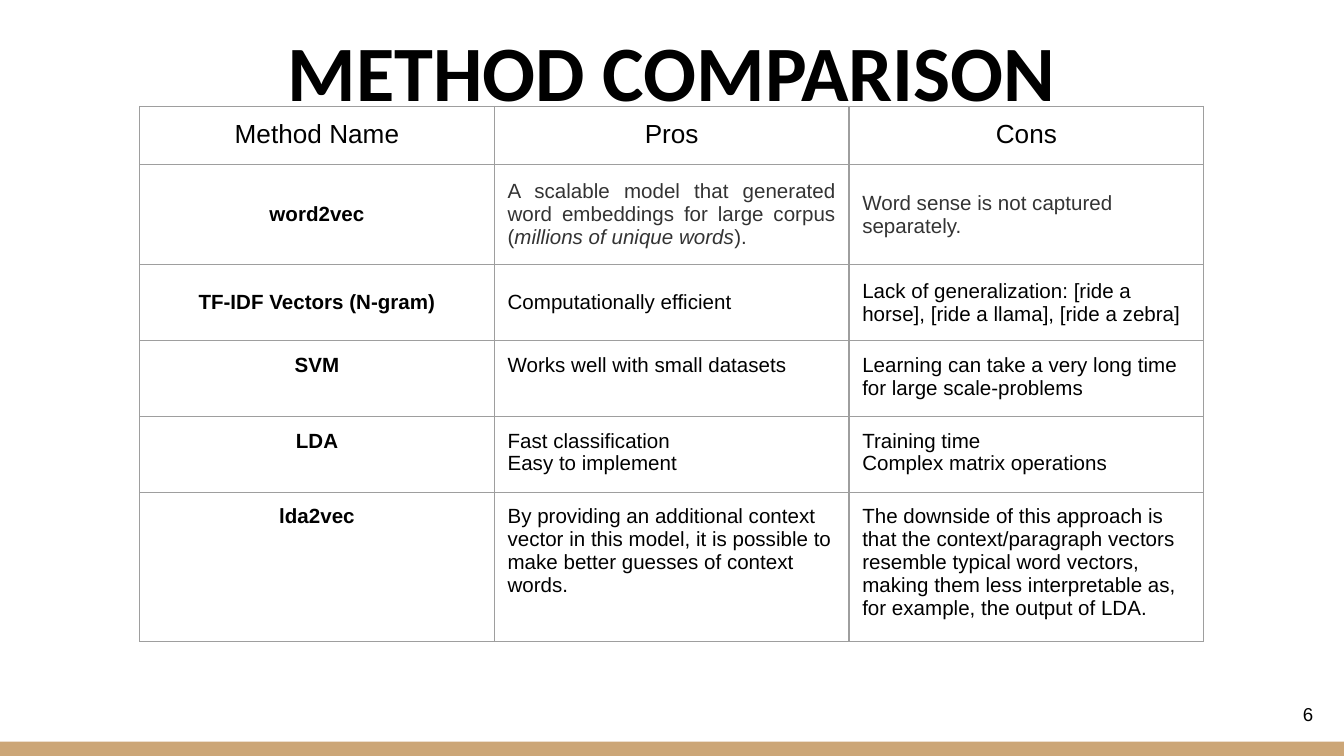
from dataclasses import dataclass

from lxml import etree
from pptx import Presentation
from pptx.dml.color import RGBColor
from pptx.enum.shapes import MSO_SHAPE
from pptx.enum.text import MSO_ANCHOR, PP_ALIGN
from pptx.oxml.ns import qn
from pptx.util import Cm, Pt

LEFT, CENTER, RIGHT, JUSTIFY = (
    PP_ALIGN.LEFT, PP_ALIGN.CENTER, PP_ALIGN.RIGHT, PP_ALIGN.JUSTIFY)
TOP, MIDDLE, BOTTOM = MSO_ANCHOR.TOP, MSO_ANCHOR.MIDDLE, MSO_ANCHOR.BOTTOM
RECT = MSO_SHAPE.RECTANGLE


@dataclass(frozen=True)
class Theme:
    ink: str = "000000"
    soft: str = "333333"
    rule: str = "9E9E9E"
    band: str = "CCA677"
    head: str = "Calibri"
    body: str = "Arial"
    title: int = 42
    label: int = 14
    text: int = 11
    page: int = 10
    line: float = 0.75


THEME = Theme()
WIDE, HIGH = 25.4, 14.29
PAD = Cm(0.25)

HEADS = ["Method Name", "Pros", "Cons"]
# A line break parts paragraphs; asterisks enclose italics
ROWS = [
    ["word2vec",
     "A scalable model that generated word embeddings for large corpus "
     "(*millions of unique words*).",
     "Word sense is not captured separately."],
    ["TF-IDF Vectors (N-gram)",
     "Computationally efficient",
     "Lack of generalization: [ride a horse], [ride a llama], [ride a zebra]"],
    ["SVM",
     "Works well with small datasets",
     "Learning can take a very long time for large scale-problems"],
    ["LDA",
     "Fast classification\nEasy to implement",
     "Training time\nComplex matrix operations"],
    ["lda2vec",
     "By providing an additional context vector in this model, it is possible "
     "to make better guesses of context words.",
     "The downside of this approach is that the context/paragraph vectors "
     "resemble typical word vectors, making them less interpretable as, "
     "for example, the output of LDA."],
]


def apply(item, form):
    for key, value in form.items():
        setattr(item, key, value)


def write(frame, text, size, align, face=THEME.body, ink=THEME.ink, bold=False):
    frame.word_wrap = True
    for i, line in enumerate(text.split("\n")):
        para = frame.add_paragraph() if i else frame.paragraphs[0]
        para.alignment = align
        for j, part in enumerate(line.split("*")):
            run = para.add_run()
            run.text = part
            apply(run.font, {"name": face, "size": Pt(size),
                             "bold": bold, "italic": j % 2 == 1})
            run.font.color.rgb = RGBColor.from_string(ink)


def add_text(slide, box, text, anchor, **form):
    frame = slide.shapes.add_textbox(*map(Cm, box)).text_frame
    apply(frame, {"margin_left": PAD, "margin_right": PAD, "margin_top": PAD,
                  "margin_bottom": PAD, "vertical_anchor": anchor})
    write(frame, text, **form)


def add_band(slide, box):
    band = slide.shapes.add_shape(RECT, *map(Cm, box))
    band.shadow.inherit = False
    band.fill.solid()
    band.fill.fore_color.rgb = RGBColor.from_string(THEME.band)
    band.line.fill.background()


def frame_cell(cell):
    props = cell._tc.get_or_add_tcPr()
    for side in ("a:lnL", "a:lnR", "a:lnT", "a:lnB"):
        line = etree.SubElement(props, qn(side), w=str(Pt(THEME.line)))
        fill = etree.SubElement(line, qn("a:solidFill"))
        etree.SubElement(fill, qn("a:srgbClr"), val=THEME.rule)
    cell.fill.background()


def add_grid(slide, box):
    data = [HEADS] + ROWS
    grid = slide.shapes.add_table(len(data), len(HEADS), *map(Cm, box)).table
    apply(grid, {"first_row": False, "horz_banding": False})
    for r, row in enumerate(data):
        for c, text in enumerate(row):
            cell = grid.cell(r, c)
            frame_cell(cell)
            apply(cell, {"margin_left": PAD, "margin_right": PAD,
                         "margin_top": PAD, "margin_bottom": PAD,
                         "vertical_anchor": MIDDLE if r in (1, 2) else TOP})
            align = CENTER if r == 0 or c == 0 else LEFT
            if (r, c) == (1, 1):
                align = JUSTIFY
            write(cell.text_frame, text,
                  size=THEME.text if r else THEME.label, align=align,
                  ink=THEME.soft if r == 1 and c else THEME.ink,
                  bold=r > 0 and c == 0)


def main():
    deck = Presentation()
    apply(deck, {"slide_width": Cm(WIDE), "slide_height": Cm(HIGH)})
    slide = deck.slides.add_slide(deck.slide_layouts[6])

    # Footer band
    add_band(slide, (0, HIGH - 0.27, WIDE, 0.27))
    # Title
    add_text(slide, (0.86, 0.15, 23.67, 2.31), "METHOD COMPARISON", BOTTOM,
             size=THEME.title, align=CENTER, face=THEME.head, bold=True)
    # Page number
    add_text(slide, (23.55, 12.95, 1.52, 1.09), "6", MIDDLE,
             size=THEME.page, align=RIGHT)
    # Comparison table
    add_grid(slide, (2.64, 2.01, 20.11, 6.4))

    deck.save("out.pptx")


if __name__ == "__main__":
    main()
